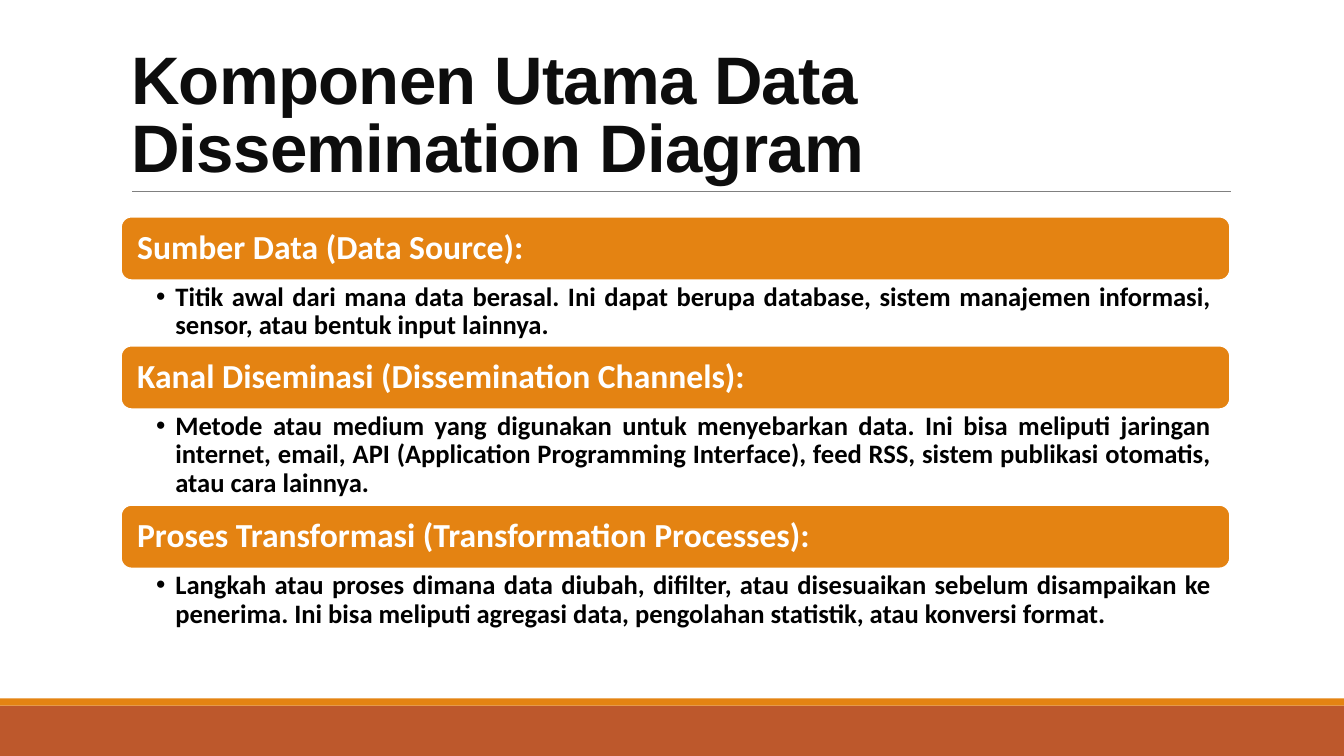
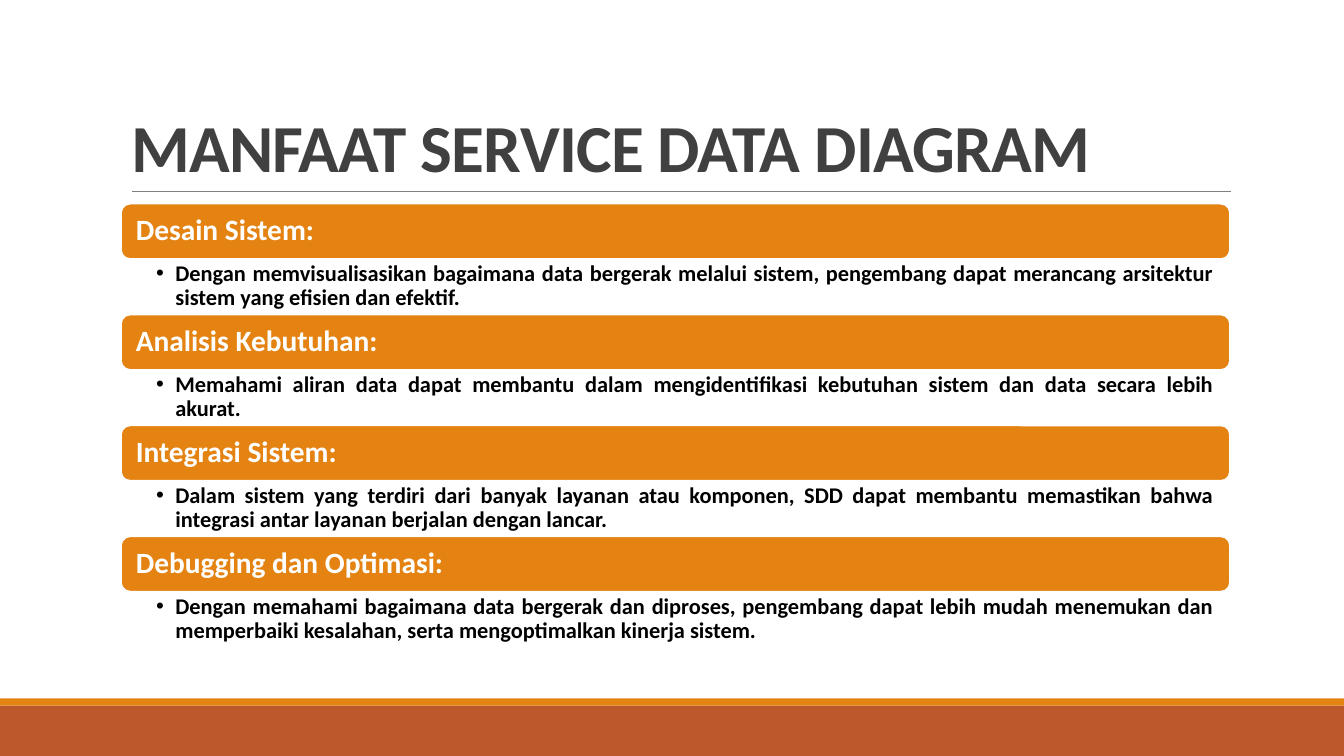
from dataclasses import dataclass

from lxml.etree import SubElement
from pptx import Presentation
from pptx.dml.color import RGBColor
from pptx.enum.shapes import MSO_CONNECTOR, MSO_SHAPE
from pptx.enum.text import MSO_ANCHOR, MSO_AUTO_SIZE, PP_ALIGN
from pptx.oxml.ns import qn
from pptx.presentation import Presentation as Deck
from pptx.shapes.autoshape import Shape
from pptx.slide import Slide
from pptx.text.text import TextFrame, _Paragraph as Para
from pptx.util import Inches, Pt

WIDTH, HEIGHT = 13.33, 7.5
LEFT, SPAN = 1.2, 11
ORANGE, RUST, GRAY = "E48312", "BD582C", "808080"
WHITE, BLACK = "FFFFFF", "000000"


@dataclass
class Item:
    head: str
    note: str
    depth: float


@dataclass
class Page:
    title: str
    font: str
    color: str
    top: float
    bar: float
    pad: float
    edge: float
    big: float
    small: float
    items: list[Item]


PAGES = [
    Page("Komponen Utama Data Dissemination Diagram", "Arial", "0D0D0D",
         2.15, 0.63, 0.13, 0.19, 24, 19, [
             Item("Sumber Data (Data Source):",
                  "Titik awal dari mana data berasal. Ini dapat berupa database, "
                  "sistem manajemen informasi, sensor, atau bentuk input lainnya.", 0.65),
             Item("Kanal Diseminasi (Dissemination Channels):",
                  "Metode atau medium yang digunakan untuk menyebarkan data. Ini bisa "
                  "meliputi jaringan internet, email, API (Application Programming "
                  "Interface), feed RSS, sistem publikasi otomatis, atau cara lainnya.", 0.95),
             Item("Proses Transformasi (Transformation Processes):",
                  "Langkah atau proses dimana data diubah, difilter, atau disesuaikan "
                  "sebelum disampaikan ke penerima. Ini bisa meliputi agregasi data, "
                  "pengolahan statistik, atau konversi format.", 0.65),
         ]),
    Page("MANFAAT SERVICE DATA DIAGRAM", "Calibri", "404040",
         2.02, 0.55, 0.12, 0.16, 21, 16, [
             Item("Desain Sistem:",
                  "Dengan memvisualisasikan bagaimana data bergerak melalui sistem, "
                  "pengembang dapat merancang arsitektur sistem yang efisien dan efektif.", 0.55),
             Item("Analisis Kebutuhan:",
                  "Memahami aliran data dapat membantu dalam mengidentifikasi kebutuhan "
                  "sistem dan data secara lebih akurat.", 0.55),
             Item("Integrasi Sistem:",
                  "Dalam sistem yang terdiri dari banyak layanan atau komponen, SDD dapat "
                  "membantu memastikan bahwa integrasi antar layanan berjalan dengan lancar.", 0.55),
             Item("Debugging dan Optimasi:",
                  "Dengan memahami bagaimana data bergerak dan diproses, pengembang dapat "
                  "lebih mudah menemukan dan memperbaiki kesalahan, serta mengoptimalkan "
                  "kinerja sistem.", 0.55),
         ]),
]


def paint(value: str) -> RGBColor:
    return RGBColor.from_string(value)


def block(slide: Slide, kind: MSO_SHAPE, left: float, top: float,
          width: float, height: float, fill: str) -> Shape:
    shape = slide.shapes.add_shape(
        kind, Inches(left), Inches(top), Inches(width), Inches(height))
    shape.shadow.inherit = False
    shape.fill.solid()
    shape.fill.fore_color.rgb = paint(fill)
    shape.line.fill.background()
    return shape


def setup(frame: TextFrame, anchor: MSO_ANCHOR, left: float,
          right: float, edge: float) -> None:
    frame.word_wrap = True
    frame.auto_size = MSO_AUTO_SIZE.NONE
    frame.vertical_anchor = anchor
    frame.margin_left, frame.margin_right = Inches(left), Inches(right)
    frame.margin_top = frame.margin_bottom = Inches(edge)


def write(para: Para, text: str, size: float, color: str, align: PP_ALIGN,
          font: str = "Calibri", space: float = 0.9, track: int = 0) -> None:
    para.alignment = align
    para.line_spacing = space
    run = para.add_run()
    run.text = text
    run.font.name, run.font.size, run.font.bold = font, Pt(size), True
    run.font.color.rgb = paint(color)
    if track:
        run._r.get_or_add_rPr().set("spc", str(track))


def bullet(para: Para, indent: float) -> None:
    props = para._p.get_or_add_pPr()
    props.set("marL", str(Inches(indent)))
    props.set("indent", str(Inches(-indent)))
    SubElement(props, qn("a:buFont")).set("typeface", "Arial")
    SubElement(props, qn("a:buChar")).set("char", "•")


def frame_page(slide: Slide, page: Page) -> None:
    block(slide, MSO_SHAPE.RECTANGLE, 0, 7, WIDTH, 0.5, RUST)
    block(slide, MSO_SHAPE.RECTANGLE, 0, 6.93, WIDTH, 0.07, ORANGE)
    rule = slide.shapes.add_connector(
        MSO_CONNECTOR.STRAIGHT, Inches(1.31), Inches(1.9), Inches(12.21), Inches(1.9))
    rule.line.color.rgb = paint(GRAY)
    rule.line.width = Pt(0.5)
    SubElement(rule._element.spPr, qn("a:effectLst"))
    title = slide.shapes.title
    title.left, title.top = Inches(LEFT), Inches(0.31)
    title.width, title.height = Inches(SPAN), Inches(1.59)
    setup(title.text_frame, MSO_ANCHOR.BOTTOM, 0.1, 0.1, 0.05)
    write(title.text_frame.paragraphs[0], page.title, 48, page.color,
          PP_ALIGN.LEFT, page.font, 0.85, -50)


def add_item(slide: Slide, page: Page, item: Item, top: float) -> None:
    bar = block(slide, MSO_SHAPE.ROUNDED_RECTANGLE, LEFT, top, SPAN, page.bar, ORANGE)
    bar.line.color.rgb = paint(WHITE)
    bar.line.width = Pt(1.25)
    setup(bar.text_frame, MSO_ANCHOR.MIDDLE, page.pad, page.pad, 0.1)
    write(bar.text_frame.paragraphs[0], item.head, page.big, WHITE, PP_ALIGN.LEFT)
    box = slide.shapes.add_textbox(
        Inches(LEFT), Inches(top + page.bar), Inches(SPAN), Inches(item.depth))
    setup(box.text_frame, MSO_ANCHOR.TOP, 0.35, page.edge, 0.03)
    para = box.text_frame.paragraphs[0]
    bullet(para, 0.19)
    write(para, item.note, page.small, BLACK, PP_ALIGN.JUSTIFY)


def build(deck: Deck, page: Page) -> None:
    slide = deck.slides.add_slide(deck.slide_layouts[5])
    frame_page(slide, page)
    top = page.top
    for item in page.items:
        add_item(slide, page, item, top)
        top += page.bar + item.depth


def main() -> None:
    deck = Presentation()
    deck.slide_width, deck.slide_height = Inches(WIDTH), Inches(HEIGHT)
    for page in PAGES:
        build(deck, page)
    deck.save("out.pptx")


if __name__ == "__main__":
    main()
